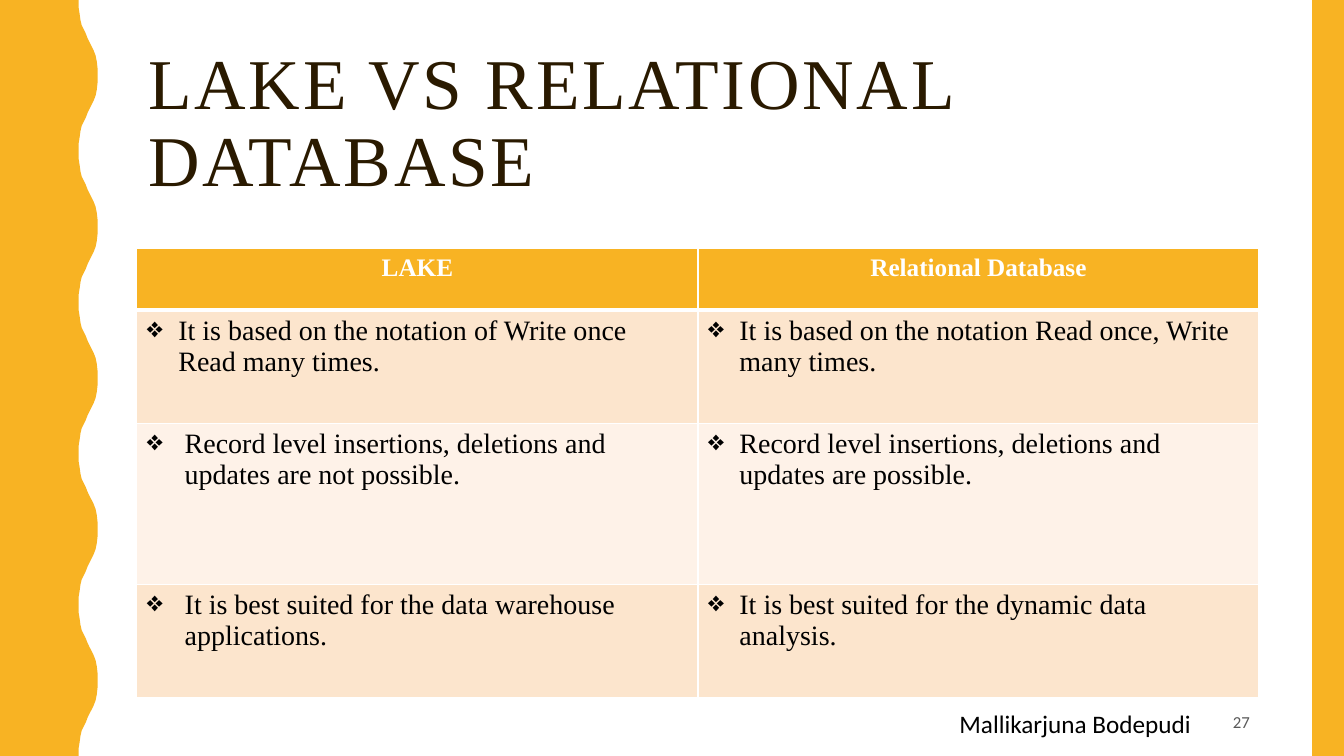
from dataclasses import dataclass

import lxml.etree
import pptx
import pptx.dml.color
import pptx.enum.shapes
import pptx.enum.text
import pptx.oxml.ns
import pptx.shapes.autoshape
import pptx.slide
import pptx.table
import pptx.text.text
import pptx.util

Cm = pptx.util.Cm
Align = pptx.enum.text.PP_ALIGN
Anchor = pptx.enum.text.MSO_ANCHOR


@dataclass(frozen=True)
class TextStyle:
    font: str
    size: float
    color: str
    bold: bool = False


@dataclass(frozen=True)
class Theme:
    accent: str = "F8B323"
    white: str = "FFFFFF"
    bands: tuple[str, str] = ("FCE5CD", "FEF2E8")
    title: TextStyle = TextStyle("Times New Roman", 51, "2A1A00")
    header: TextStyle = TextStyle("Times New Roman", 18, "FFFFFF", True)
    body: TextStyle = TextStyle("Times New Roman", 20, "000000")
    author: TextStyle = TextStyle("Calibri", 18, "000000")
    number: TextStyle = TextStyle("Calibri", 12, "595959")


@dataclass(frozen=True)
class Box:
    left: float
    top: float
    width: float
    height: float

    def lengths(self) -> tuple[int, int, int, int]:
        return Cm(self.left), Cm(self.top), Cm(self.width), Cm(self.height)


@dataclass(frozen=True)
class Point:
    text: str
    indent: float = 0.79


@dataclass(frozen=True)
class ComparisonRow:
    lake: Point
    relational: Point
    height: float


@dataclass(frozen=True)
class FooterText:
    text: str
    box: Box
    style: TextStyle
    align: Align
    anchor: Anchor


THEME = Theme()
SLIDE_WIDTH, SLIDE_HEIGHT = 33.87, 19.05
TITLE_BOX = Box(3.48, 1.07, 28.27, 4.14)
RIGHT_BAR = Box(33.07, 0, 0.8, SLIDE_HEIGHT)

WAVE_COUNT = 5
WAVE_PERIOD = SLIDE_HEIGHT / WAVE_COUNT
# (x, y) from a trough to the next crest; the way back mirrors it
HALF_WAVE = (
    (1.98, 0), (1.98, 0.18), (2.01, 0.36), (2.03, 0.51), (2.06, 0.64),
    (2.11, 0.74), (2.16, 0.84), (2.21, 0.97), (2.26, 1.07), (2.31, 1.17),
    (2.36, 1.27), (2.41, 1.4), (2.44, 1.55), (2.46, 1.73), (2.46, 1.9),
)

TABLE_LEFT, TABLE_TOP, COLUMN_WIDTH, HEADER_HEIGHT = 3.45, 6.27, 14.14, 1.55
HEADERS = ("LAKE", "Relational Database")
WIDE_INDENT = 0.95
ROWS = (
    ComparisonRow(
        Point("It is based on the notation of Write once Read many times."),
        Point("It is based on the notation Read once, Write many times."),
        2.85,
    ),
    ComparisonRow(
        Point("Record level insertions, deletions and updates are not possible.", WIDE_INDENT),
        Point("Record level insertions, deletions and updates are possible."),
        4.05,
    ),
    ComparisonRow(
        Point("It is best suited for the data warehouse applications.", WIDE_INDENT),
        Point("It is best suited for the dynamic data analysis."),
        2.85,
    ),
)
FOOTERS = (
    FooterText("27", Box(23.93, 17.7, 7.82, 0.97), THEME.number, Align.RIGHT, Anchor.MIDDLE),
    FooterText("Mallikarjuna Bodepudi", Box(23.93, 17.73, 6.53, 1.02), THEME.author,
               Align.LEFT, Anchor.TOP),
)


def rgb(color: str) -> pptx.dml.color.RGBColor:
    return pptx.dml.color.RGBColor.from_string(color)


def add_run(paragraph: pptx.text.text._Paragraph, text: str, style: TextStyle) -> pptx.text.text._Run:
    run = paragraph.add_run()
    run.text = text
    run.font.name = style.font
    run.font.size = pptx.util.Pt(style.size)
    run.font.bold = style.bold
    run.font.color.rgb = rgb(style.color)
    return run


def paint(shape: pptx.shapes.autoshape.Shape, color: str) -> None:
    shape.shadow.inherit = False
    shape.fill.solid()
    shape.fill.fore_color.rgb = rgb(color)
    shape.line.fill.background()


def add_title(slide: pptx.slide.Slide) -> None:
    title = slide.shapes.title
    title.left, title.top, title.width, title.height = TITLE_BOX.lengths()
    frame = title.text_frame
    frame.word_wrap = True
    frame.auto_size = pptx.enum.text.MSO_AUTO_SIZE.NONE
    frame.vertical_anchor = Anchor.MIDDLE
    paragraph = frame.paragraphs[0]
    paragraph.alignment = Align.LEFT
    paragraph.line_spacing = 0.9
    run = add_run(paragraph, "LAKE VS RELATIONAL DATABASE", THEME.title)
    run.font._element.set("spc", "200")


def add_side_bands(slide: pptx.slide.Slide) -> None:
    """Draw the wavy band on the left and the plain bar on the right."""
    wave = HALF_WAVE + tuple((x, WAVE_PERIOD - y) for x, y in reversed(HALF_WAVE[1:-1]))
    edge = [(Cm(x), Cm(y + index * WAVE_PERIOD)) for index in range(WAVE_COUNT) for x, y in wave]
    bottom = Cm(SLIDE_HEIGHT)
    builder = slide.shapes.build_freeform(0, 0)
    builder.add_line_segments(edge + [(Cm(HALF_WAVE[0][0]), bottom), (0, bottom)], close=True)
    paint(builder.convert_to_shape(), THEME.accent)
    bar = slide.shapes.add_shape(pptx.enum.shapes.MSO_SHAPE.RECTANGLE, *RIGHT_BAR.lengths())
    paint(bar, THEME.accent)


def format_cell(cell: pptx.table._Cell, color: str, top: float = 1, bottom: float = 1) -> None:
    """Fill the cell and give it white borders, with widths in points."""
    properties = cell._tc.get_or_add_tcPr()
    qn = pptx.oxml.ns.qn
    for side, width in (("L", 1), ("R", 1), ("T", top), ("B", bottom)):
        line = lxml.etree.SubElement(properties, qn(f"a:ln{side}"), w=str(pptx.util.Pt(width)))
        fill = lxml.etree.SubElement(line, qn("a:solidFill"))
        lxml.etree.SubElement(fill, qn("a:srgbClr"), val=THEME.white)
    cell.fill.solid()
    cell.fill.fore_color.rgb = rgb(color)


def add_bullet(paragraph: pptx.text.text._Paragraph, indent: float) -> None:
    properties = paragraph._p.get_or_add_pPr()
    properties.set("marL", str(Cm(indent)))
    properties.set("indent", str(-Cm(indent)))
    lxml.etree.SubElement(properties, pptx.oxml.ns.qn("a:buChar"), char="❖")


def add_comparison_table(slide: pptx.slide.Slide) -> None:
    heights = [HEADER_HEIGHT] + [row.height for row in ROWS]
    box = Box(TABLE_LEFT, TABLE_TOP, COLUMN_WIDTH * len(HEADERS), sum(heights))
    table = slide.shapes.add_table(len(heights), len(HEADERS), *box.lengths()).table
    table.horz_banding = False
    for column in table.columns:
        column.width = Cm(COLUMN_WIDTH)
    for table_row, height in zip(table.rows, heights):
        table_row.height = Cm(height)
    for column_index, header in enumerate(HEADERS):
        cell = table.cell(0, column_index)
        format_cell(cell, THEME.accent, bottom=3)
        paragraph = cell.text_frame.paragraphs[0]
        paragraph.alignment = Align.CENTER
        add_run(paragraph, header, THEME.header)
    for row_index, row in enumerate(ROWS, start=1):
        for column_index, point in enumerate((row.lake, row.relational)):
            cell = table.cell(row_index, column_index)
            format_cell(cell, THEME.bands[(row_index - 1) % 2], top=3 if row_index == 1 else 1)
            paragraph = cell.text_frame.paragraphs[0]
            add_bullet(paragraph, point.indent)
            add_run(paragraph, point.text, THEME.body)


def add_footer(slide: pptx.slide.Slide, footer: FooterText) -> None:
    frame = slide.shapes.add_textbox(*footer.box.lengths()).text_frame
    frame.word_wrap = True
    frame.vertical_anchor = footer.anchor
    paragraph = frame.paragraphs[0]
    paragraph.alignment = footer.align
    add_run(paragraph, footer.text, footer.style)


def main() -> None:
    presentation = pptx.Presentation()
    presentation.slide_width, presentation.slide_height = Cm(SLIDE_WIDTH), Cm(SLIDE_HEIGHT)
    slide = presentation.slides.add_slide(presentation.slide_layouts.get_by_name("Title Only"))
    add_title(slide)
    add_side_bands(slide)
    add_comparison_table(slide)
    for footer in FOOTERS:
        add_footer(slide, footer)
    presentation.save("out.pptx")


if __name__ == "__main__":
    main()
